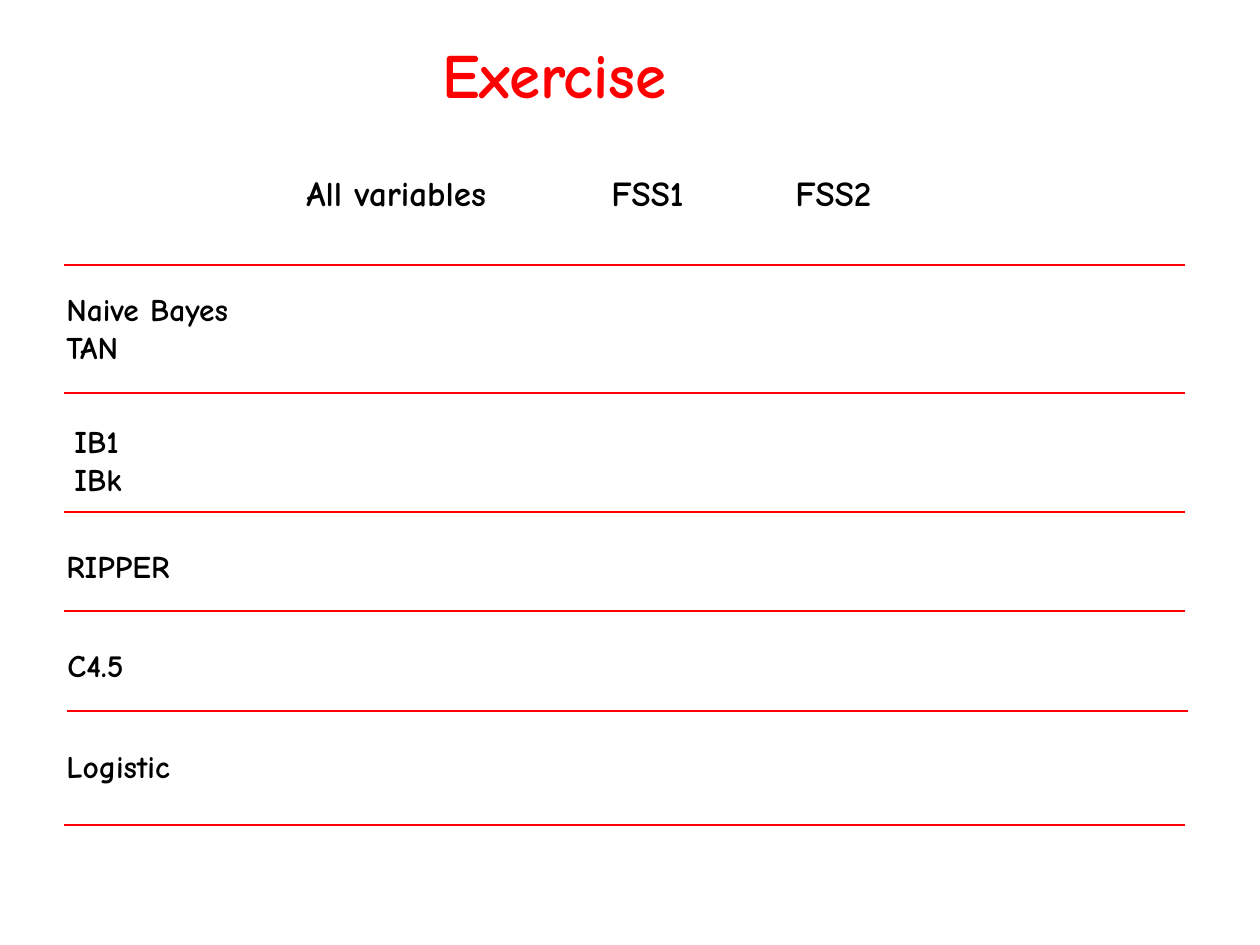
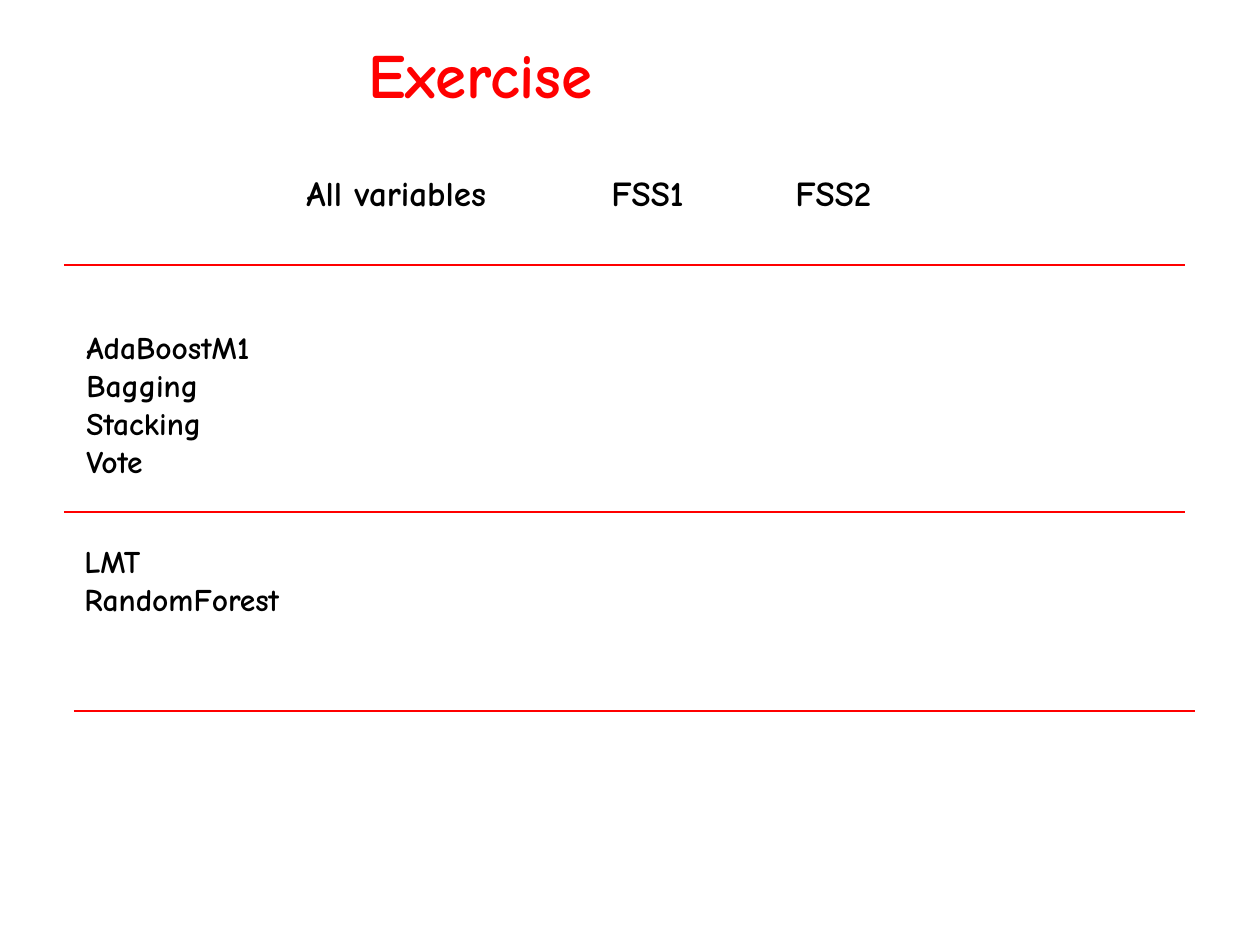
from dataclasses import dataclass

from lxml.etree import SubElement
from pptx import Presentation
from pptx.dml.color import RGBColor
from pptx.enum.shapes import MSO_CONNECTOR
from pptx.enum.text import MSO_ANCHOR, MSO_AUTO_SIZE, PP_ALIGN
from pptx.oxml.ns import qn
from pptx.slide import Slide
from pptx.text.text import TextFrame, _Paragraph as Paragraph
from pptx.util import Emu, Pt

EMU_PER_PX = 914400 / 126
RED = RGBColor(0xFF, 0x00, 0x00)
BLACK = RGBColor(0x00, 0x00, 0x00)
FONT = "Comic Neue"
TITLE_SIZE, HEADER_SIZE, LABEL_SIZE = 36, 20, 18
RULE_LEFT, RULE_LENGTH = 64, 1121
HEADER_LEFT, HEADER_TOP, HEADER_WIDTH, HEADER_HEIGHT = 220, 165, 795, 54
HEADERS = {"All variables": 74, "FSS1": 379, "FSS2": 563}


@dataclass(frozen=True)
class Rule:
    top: int
    left: int = RULE_LEFT


@dataclass(frozen=True)
class MethodGroup:
    left: int
    top: int
    width: int
    height: int
    methods: tuple[str, ...]


@dataclass(frozen=True)
class ExerciseSlide:
    title_left: int
    rules: tuple[Rule, ...]
    groups: tuple[MethodGroup, ...]


EXERCISES = (
    ExerciseSlide(
        title_left=430,
        rules=(Rule(265), Rule(393), Rule(512), Rule(611), Rule(711, 67), Rule(825)),
        groups=(
            MethodGroup(54, 284, 239, 88, ("Naive Bayes", "TAN")),
            MethodGroup(62, 416, 82, 88, ("IB1", "IBk")),
            MethodGroup(54, 541, 136, 50, ("RIPPER",)),
            MethodGroup(55, 640, 97, 50, ("C4.5",)),
            MethodGroup(54, 741, 166, 50, ("Logistic",)),
        ),
    ),
    ExerciseSlide(
        title_left=356,
        rules=(Rule(265), Rule(512), Rule(711, 74)),
        groups=(
            MethodGroup(74, 322, 595, 164, ("AdaBoostM1", "Bagging", "Stacking", "Vote")),
            MethodGroup(72, 536, 239, 88, ("LMT", "RandomForest")),
        ),
    ),
)


def px(length: int) -> Emu:
    return Emu(round(length * EMU_PER_PX))


def add_run(paragraph: Paragraph, text: str, size: int, color: RGBColor) -> None:
    run = paragraph.add_run()
    run.text = text
    run.font.name = FONT
    run.font.size = Pt(size)
    run.font.bold = True
    run.font.color.rgb = color


def add_text_frame(slide: Slide, left: int, top: int, width: int, height: int) -> TextFrame:
    frame = slide.shapes.add_textbox(px(left), px(top), px(width), px(height)).text_frame
    frame.word_wrap = True
    return frame


def set_title(slide: Slide, left: int) -> None:
    title = slide.shapes.title
    title.left, title.top, title.width, title.height = px(left), px(29), px(300), px(88)
    frame = title.text_frame
    frame.auto_size = MSO_AUTO_SIZE.NONE
    frame.vertical_anchor = MSO_ANCHOR.TOP
    paragraph = frame.paragraphs[0]
    paragraph.alignment = PP_ALIGN.LEFT
    add_run(paragraph, "Exercise", TITLE_SIZE, RED)


def add_headers(slide: Slide) -> None:
    frame = add_text_frame(slide, HEADER_LEFT, HEADER_TOP, HEADER_WIDTH, HEADER_HEIGHT)
    paragraph = frame.paragraphs[0]
    tabs = SubElement(paragraph._p.get_or_add_pPr(), qn("a:tabLst"))
    for header, offset in HEADERS.items():
        SubElement(tabs, qn("a:tab"), pos=str(px(offset)), algn="l")
        add_run(paragraph, f"\t{header}", HEADER_SIZE, BLACK)


def add_rule(slide: Slide, rule: Rule) -> None:
    connector = slide.shapes.add_connector(
        MSO_CONNECTOR.STRAIGHT,
        px(rule.left), px(rule.top), px(rule.left + RULE_LENGTH), px(rule.top),
    )
    connector.line.color.rgb = RED
    connector.line.width = Pt(1)
    SubElement(connector._element.spPr, qn("a:effectLst"))


def add_group(slide: Slide, group: MethodGroup) -> None:
    frame = add_text_frame(slide, group.left, group.top, group.width, group.height)
    for index, method in enumerate(group.methods):
        paragraph = frame.add_paragraph() if index else frame.paragraphs[0]
        add_run(paragraph, method, LABEL_SIZE, BLACK)


def main() -> None:
    presentation = Presentation()
    presentation.slide_width, presentation.slide_height = px(1260), px(945)
    title_only = presentation.slide_layouts.get_by_name("Title Only")
    for exercise in EXERCISES:
        slide = presentation.slides.add_slide(title_only)
        set_title(slide, exercise.title_left)
        add_headers(slide)
        for rule in exercise.rules:
            add_rule(slide, rule)
        for group in exercise.groups:
            add_group(slide, group)
    presentation.save("out.pptx")


if __name__ == "__main__":
    main()
